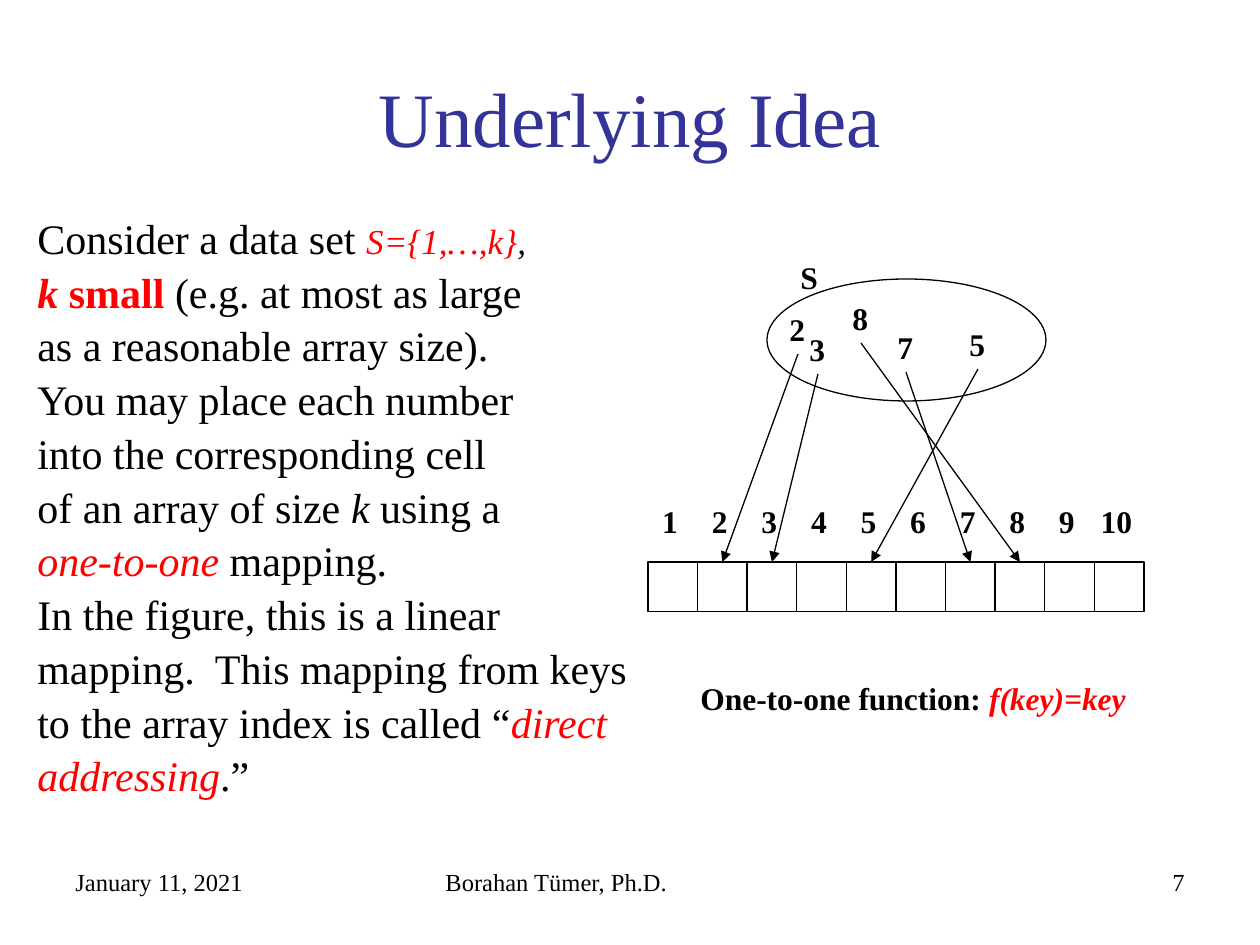
from lxml.etree import SubElement
from pptx import Presentation
from pptx.dml.color import RGBColor
from pptx.enum.shapes import MSO_CONNECTOR, MSO_SHAPE
from pptx.enum.text import MSO_ANCHOR, PP_ALIGN
from pptx.oxml.ns import qn
from pptx.util import Emu, Pt

PX = 914400 / 126
FONT = "Times New Roman"
BLACK = RGBColor(0x00, 0x00, 0x00)
RED = RGBColor(0xFF, 0x00, 0x00)
INDIGO = RGBColor(0x33, 0x33, 0x99)

CELL_COUNT = 10
ARRAY_LEFT, ARRAY_TOP, ARRAY_WIDTH = 648, 562, 496
LABEL_PADDING, DIGIT_WIDTH, LABEL_HEIGHT = 26, 16, 50

# Key -> left and top of its label inside the set
KEYS = {2: (777, 304), 3: (797, 324), 8: (840, 293), 7: (885, 322), 5: (957, 319)}

# Run styles
PLAIN = {}
ITALIC = {"italic": True}
RED_ITALIC = {"color": RED, "italic": True}
RED_BOLD = {"color": RED, "bold": True}

BODY = [
    [("Consider a data set ", PLAIN), ("S={1,…,k}", {**RED_ITALIC, "size": 20}),
     (",", {**ITALIC, "size": 20})],
    [("k", {**RED_BOLD, "italic": True}), (" small ", RED_BOLD),
     ("(e.g. at most as large", PLAIN)],
    [("as a reasonable array size).", PLAIN)],
    [("You may place each number", PLAIN)],
    [("into the corresponding cell", PLAIN)],
    [("of an array of size ", PLAIN), ("k ", ITALIC), ("using a", PLAIN)],
    [("one-to-one", RED_ITALIC), (" mapping.", PLAIN)],
    [("In the figure, this is a linear", PLAIN)],
    [("mapping.  This mapping from keys", PLAIN)],
    [("to the array index is called “", PLAIN), ("direct", RED_ITALIC)],
    [("addressing", RED_ITALIC), (".”", PLAIN)],
]


def px(*lengths):
    return [Emu(round(length * PX)) for length in lengths]


def label_width(number):
    return LABEL_PADDING + DIGIT_WIDTH * len(str(number))


def style_run(run, size, color=BLACK, bold=False, italic=False):
    font = run.font
    font.name, font.size = FONT, Pt(size)
    font.bold, font.italic = bold, italic
    font.color.rgb = color


def add_runs(paragraph, pieces, **base):
    for text, style in pieces:
        run = paragraph.add_run()
        run.text = text
        style_run(run, **{**base, **style})


def add_text(slide, box, pieces, size=18, bold=True, align=PP_ALIGN.LEFT, wrap=False):
    label = slide.shapes.add_textbox(*px(*box))
    label.text_frame.word_wrap = wrap
    paragraph = label.text_frame.paragraphs[0]
    paragraph.alignment = align
    add_runs(paragraph, pieces, size=size, bold=bold)
    return label


def add_number(slide, number, left, top):
    box = (left, top, label_width(number), LABEL_HEIGHT)
    return add_text(slide, box, [(str(number), PLAIN)])


def add_title(slide, text):
    title = slide.shapes.title
    title.left, title.top, title.width, title.height = px(63, 38, 1134, 158)
    frame = title.text_frame
    frame.text = text
    frame.vertical_anchor = MSO_ANCHOR.MIDDLE
    frame.paragraphs[0].alignment = PP_ALIGN.CENTER
    style_run(frame.paragraphs[0].runs[0], 44, INDIGO)


def add_body(slide):
    frame = slide.shapes.add_textbox(*px(25, 212, 616, 624)).text_frame
    frame.word_wrap = True
    for index, pieces in enumerate(BODY):
        paragraph = frame.add_paragraph() if index else frame.paragraphs[0]
        paragraph.line_spacing = 0.9
        paragraph.space_before = Pt(4.8)
        add_runs(paragraph, pieces, size=24)


def add_outline(shapes, preset, box):
    outline = shapes.add_shape(preset, *px(*box))
    outline.shadow.inherit = False
    outline.fill.background()
    outline.line.color.rgb = BLACK
    outline.line.width = Pt(0.75)
    return outline


def add_array(slide):
    """Draw the numbered cells and return them by index."""
    pitch = ARRAY_WIDTH / CELL_COUNT
    row = slide.shapes.add_group_shape()
    cells = {}
    for number in range(1, CELL_COUNT + 1):
        left = ARRAY_LEFT + (number - 1) * pitch
        cells[number] = add_outline(row.shapes, MSO_SHAPE.RECTANGLE,
                                    (left, ARRAY_TOP, pitch, pitch))
        centered_left = left + (pitch - label_width(number)) / 2
        add_number(slide, number, centered_left - 2, 496)
    return cells


def add_arrow(slide, key_label, cell):
    arrow = slide.shapes.add_connector(MSO_CONNECTOR.STRAIGHT, 0, 0, 0, 0)
    arrow.begin_connect(key_label, 2)
    arrow.end_connect(cell, 0)
    arrow.line.color.rgb = BLACK
    arrow.line.width = Pt(0.75)
    SubElement(arrow.line._get_or_add_ln(), qn("a:tailEnd"), type="triangle")
    SubElement(arrow._element.spPr, qn("a:effectLst"))


def add_mapping(slide):
    cells = add_array(slide)
    add_outline(slide.shapes, MSO_SHAPE.OVAL, (767, 279, 279, 122))
    add_text(slide, (788, 252, 43, LABEL_HEIGHT), [("S", PLAIN)])
    for key, (left, top) in KEYS.items():
        add_arrow(slide, add_number(slide, key, left, top), cells[key])
    add_text(slide, (688, 673, 451, LABEL_HEIGHT),
             [("One-to-one function: ", PLAIN), ("f(key)=key", RED_ITALIC)])


def add_footer(slide):
    for text, left, width, align in (
        ("January 11, 2021", 63, 294, PP_ALIGN.LEFT),
        ("Borahan Tümer, Ph.D.", 433, 397, PP_ALIGN.LEFT),
        ("7", 903, 294, PP_ALIGN.RIGHT),
    ):
        add_text(slide, (left, 861, width, 66), [(text, PLAIN)],
                 size=14, bold=False, align=align, wrap=True)


def main():
    presentation = Presentation()
    presentation.slide_width, presentation.slide_height = px(1260, 945)
    slide = presentation.slides.add_slide(presentation.slide_layouts[5])
    add_title(slide, "Underlying Idea")
    add_body(slide)
    add_mapping(slide)
    add_footer(slide)
    presentation.save("out.pptx")


if __name__ == "__main__":
    main()
